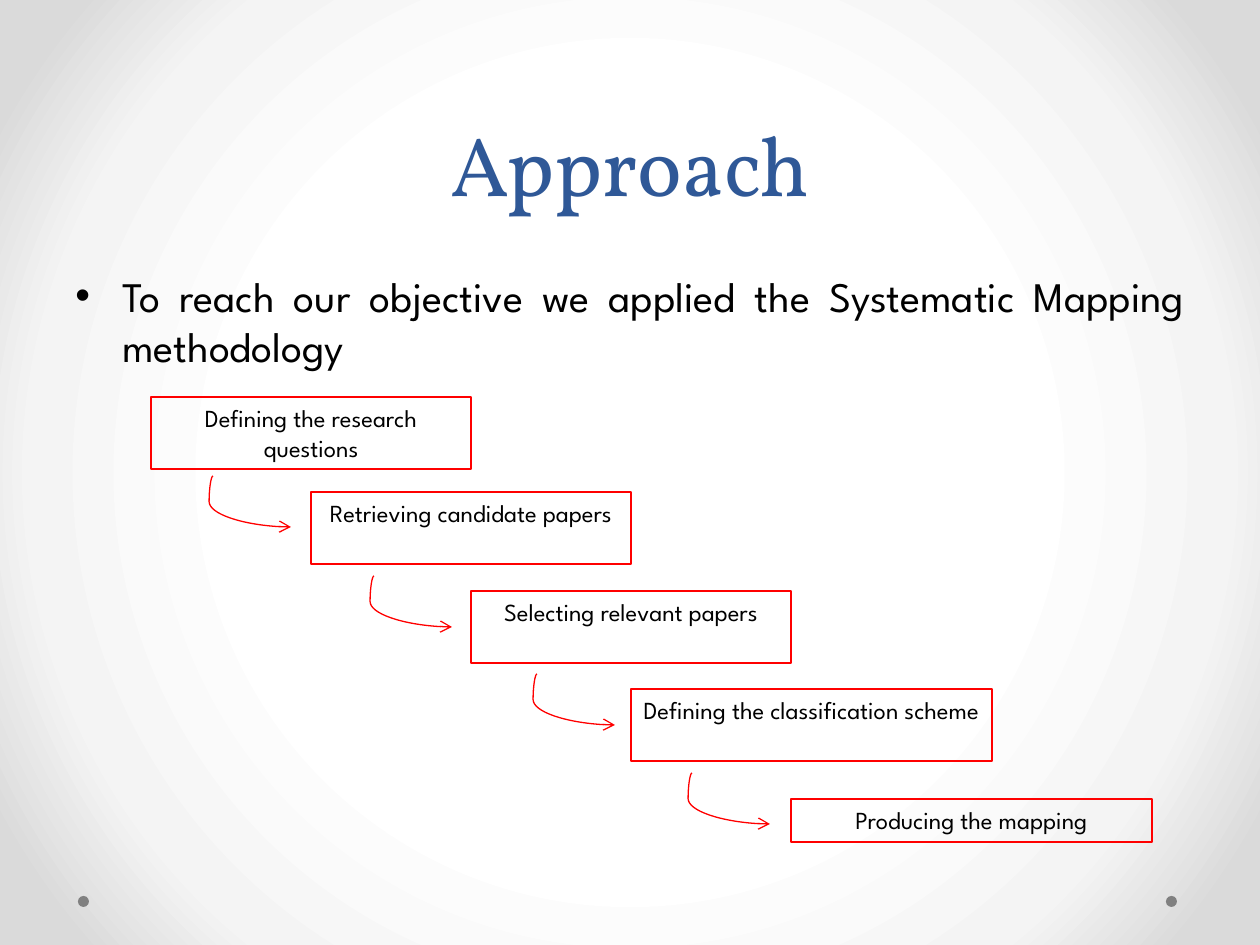
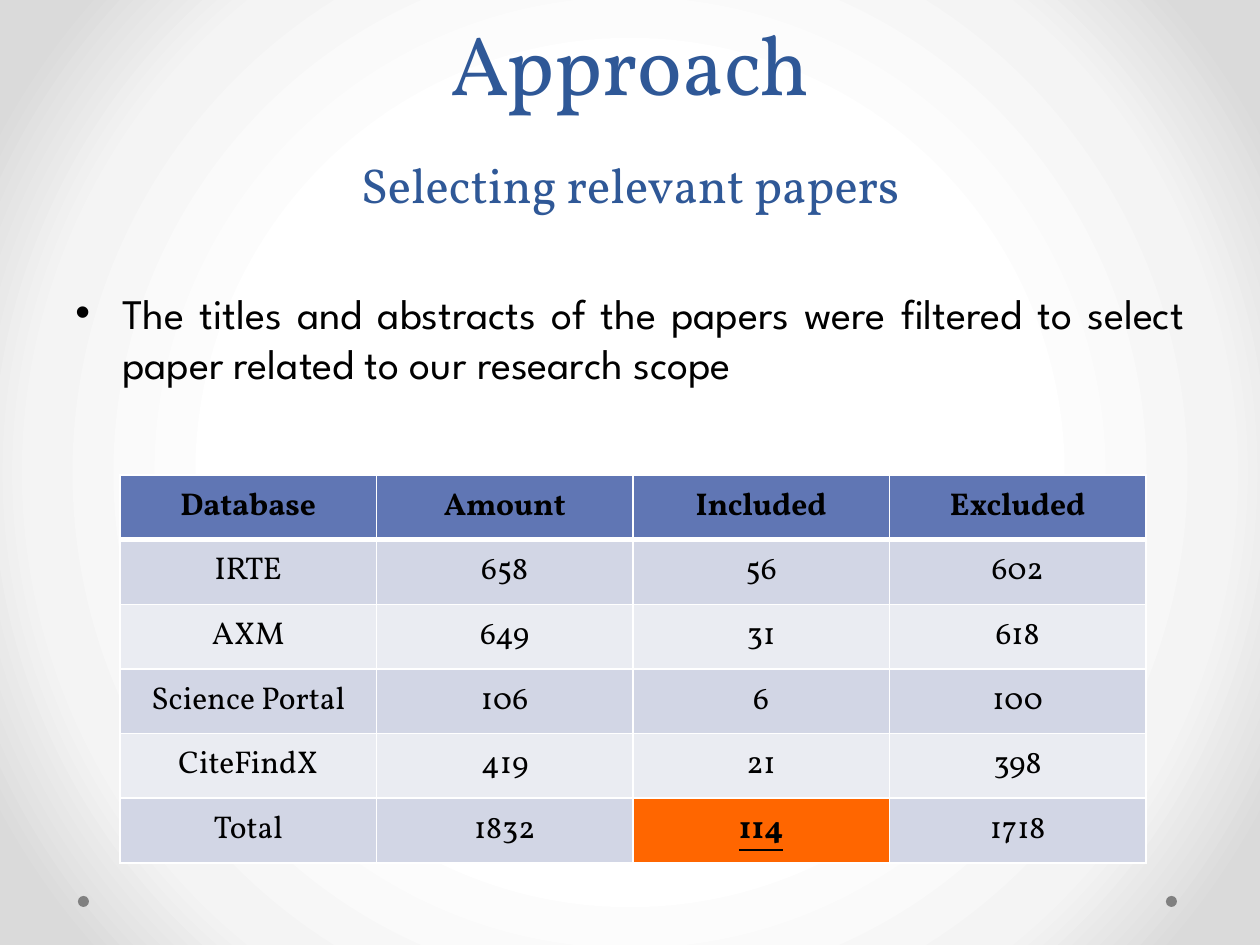
from dataclasses import dataclass

from lxml import etree
from pptx import Presentation
from pptx.dml.color import RGBColor
from pptx.enum.shapes import MSO_CONNECTOR as Connector, MSO_SHAPE as Shape
from pptx.enum.text import MSO_ANCHOR as Anchor, PP_ALIGN as Align
from pptx.oxml import parse_xml
from pptx.oxml.ns import nsdecls, qn
from pptx.util import Pt

# Content
TITLE = "Approach"
METHOD_POINT = "To reach our objective we applied the Systematic Mapping methodology"
STEPS = [  # label, top, width, height
    ("Defining the research questions", 397, 320, 72),
    ("Retrieving candidate papers", 492, 320, 72),
    ("Selecting relevant papers", 591, 320, 72),
    ("Defining the classification scheme", 689, 361, 72),
    ("Producing the mapping", 799, 361, 43),
]
ARROW_STARTS = [(213, 476), (374, 576), (537, 674), (692, 773)]

SUBTITLE = "Selecting relevant papers"
FILTER_POINT = ("The titles and abstracts of the papers were filtered to select "
                "paper related to our research scope")
PAPER_COUNTS = [
    ("Database", "Amount", "Included", "Excluded"),
    ("IRTE", "658", "56", "602"),
    ("AXM", "649", "31", "618"),
    ("Science Portal", "106", "6", "100"),
    ("CiteFindX", "419", "21", "398"),
    ("Total", "1832", "114", "1718"),
]
KEY_CELL = (5, 2)


@dataclass(frozen=True)
class Theme:
    serif: str = "Vollkorn"
    sans: str = "League Spartan"
    title: str = "2F5897"
    text: str = "000000"
    step_line: str = "FF0000"
    dot: str = "808080"
    header: str = "6076B4"
    bands: tuple = ("D2D6E5", "EAECF2")
    highlight: str = "FF6600"
    border: str = "FFFFFF"
    backdrop: tuple = ((50, "FFFFFF"), (76, "F4F4F4"), (92, "DADADA"))
    title_size: int = 48
    subtitle_size: int = 28
    title_leading: int = 58
    body_size: int = 24
    table_size: int = 18
    step_size: int = 14


THEME = Theme()
MARGIN, CONTENT_WIDTH = 63, 1134


def px(length):
    """Turn px into EMU at 126 px to the inch."""
    return round(length * 914400 / 126)


def box(*lengths):
    return [px(length) for length in lengths]


def color(value):
    return RGBColor.from_string(value)


def style(paragraph, name, size, tint, align, bold=False):
    paragraph.alignment = align
    font = paragraph.font
    font.name, font.size, font.bold = name, Pt(size), bold
    font.color.rgb = color(tint)


def add_text_box(slide, top, height, anchor):
    frame = slide.shapes.add_textbox(*box(MARGIN, top, CONTENT_WIDTH, height)).text_frame
    frame.word_wrap = True
    frame.vertical_anchor = anchor
    return frame


# Shared parts
def set_backdrop(master):
    master.background.fill.solid()
    solid = master.element.find(".//" + qn("p:bgPr")).find(qn("a:solidFill"))
    stops = "".join(f'<a:gs pos="{position * 1000}"><a:srgbClr val="{tint}"/></a:gs>'
                    for position, tint in THEME.backdrop)
    gradient = parse_xml(
        f'<a:gradFill {nsdecls("a")} rotWithShape="1"><a:gsLst>{stops}</a:gsLst>'
        '<a:path path="circle"><a:fillToRect l="50000" t="50000" r="50000" b="50000"/>'
        '</a:path></a:gradFill>')
    solid.getparent().replace(solid, gradient)


def add_slide(presentation, title_lines):
    slide = presentation.slides.add_slide(presentation.slide_layouts[6])
    for left in (1166, 78):
        dot = slide.shapes.add_shape(Shape.OVAL, *box(left, 896, 11, 11))
        dot.shadow.inherit = False
        dot.fill.solid()
        dot.fill.fore_color.rgb = color(THEME.dot)
        dot.line.fill.background()

    frame = add_text_box(slide, 0, 220, Anchor.BOTTOM)
    for index, (text, size) in enumerate(title_lines):
        paragraph = frame.add_paragraph() if index else frame.paragraphs[0]
        paragraph.text = text
        paragraph.line_spacing = Pt(THEME.title_leading)
        style(paragraph, THEME.serif, size, THEME.title, Align.CENTER)
    return slide


def add_bullet(slide, text, top):
    paragraph = add_text_box(slide, top, 115, Anchor.TOP).paragraphs[0]
    paragraph.text = text
    style(paragraph, THEME.sans, THEME.body_size, THEME.text, Align.JUSTIFY)
    properties = paragraph._p.get_or_add_pPr()
    properties.set("marL", str(px(47)))
    properties.set("indent", str(px(-47)))
    bullet = parse_xml(f'<a:buChar {nsdecls("a")} char="•"/>')
    properties.insert(0, bullet)
    bullet.addprevious(parse_xml(f'<a:buFont {nsdecls("a")} typeface="Arial"/>'))


# Staircase of steps
def add_step(slide, label, left, top, width, height):
    step = slide.shapes.add_shape(Shape.RECTANGLE, *box(left, top, width, height))
    step.shadow.inherit = False
    step.fill.background()
    step.line.color.rgb = color(THEME.step_line)
    step.line.width = Pt(0.75)
    frame = step.text_frame
    frame.word_wrap = True
    frame.vertical_anchor = Anchor.TOP
    frame.margin_left = frame.margin_right = px(10)
    paragraph = frame.paragraphs[0]
    paragraph.text = label
    style(paragraph, THEME.sans, THEME.step_size, THEME.text, Align.CENTER)


def add_step_arrow(slide, left, top):
    arrow = slide.shapes.add_connector(Connector.CURVE, *box(left, top, left + 78, top + 51))
    arrow.line.color.rgb = color(THEME.step_line)
    arrow.line.width = Pt(0.75)
    properties = arrow._element.spPr
    etree.SubElement(properties.find(qn("a:ln")), qn("a:tailEnd"), type="arrow")
    etree.SubElement(properties, qn("a:effectLst"))
    guides = properties.find(qn("a:prstGeom")).get_or_add_avLst()
    etree.SubElement(guides, qn("a:gd"), name="adj1", fmla="val -5000")


# Table of paper counts
def set_borders(cell, bottom_width):
    properties = cell._tc.get_or_add_tcPr()
    for side, width in (("L", 1), ("R", 1), ("T", 1), ("B", bottom_width)):
        properties.append(parse_xml(
            f'<a:ln{side} {nsdecls("a")} w="{Pt(width)}"><a:solidFill>'
            f'<a:srgbClr val="{THEME.border}"/></a:solidFill></a:ln{side}>'))


def add_count_table(slide):
    rows, columns = len(PAPER_COUNTS), len(PAPER_COUNTS[0])
    table = slide.shapes.add_table(rows, columns, *box(120, 475, 1026, 388)).table
    table.horz_banding = False
    for row, values in enumerate(PAPER_COUNTS):
        for column, value in enumerate(values):
            cell = table.cell(row, column)
            is_header, is_key = row == 0, (row, column) == KEY_CELL
            set_borders(cell, 3 if is_header else 1)
            fill = THEME.header if is_header else THEME.bands[(row - 1) % 2]
            cell.fill.solid()
            cell.fill.fore_color.rgb = color(THEME.highlight if is_key else fill)
            cell.vertical_anchor = Anchor.MIDDLE
            paragraph = cell.text_frame.paragraphs[0]
            paragraph.text = value
            style(paragraph, THEME.serif, THEME.table_size, THEME.text, Align.CENTER,
                  bold=is_header or is_key)
            paragraph.font.underline = is_key


def main():
    presentation = Presentation()
    presentation.slide_width, presentation.slide_height = box(1260, 945)
    set_backdrop(presentation.slide_master)
    title_line = (TITLE, THEME.title_size)

    # Steps of the method
    slide = add_slide(presentation, [title_line])
    add_bullet(slide, METHOD_POINT, 264)
    for index, (label, top, width, height) in enumerate(STEPS):
        add_step(slide, label, 151 + 160 * index, top, width, height)
    for left, top in ARROW_STARTS:
        add_step_arrow(slide, left, top)

    # Selection results
    slide = add_slide(presentation, [title_line, (SUBTITLE, THEME.subtitle_size)])
    add_bullet(slide, FILTER_POINT, 281)
    add_count_table(slide)

    presentation.save("out.pptx")


if __name__ == "__main__":
    main()
